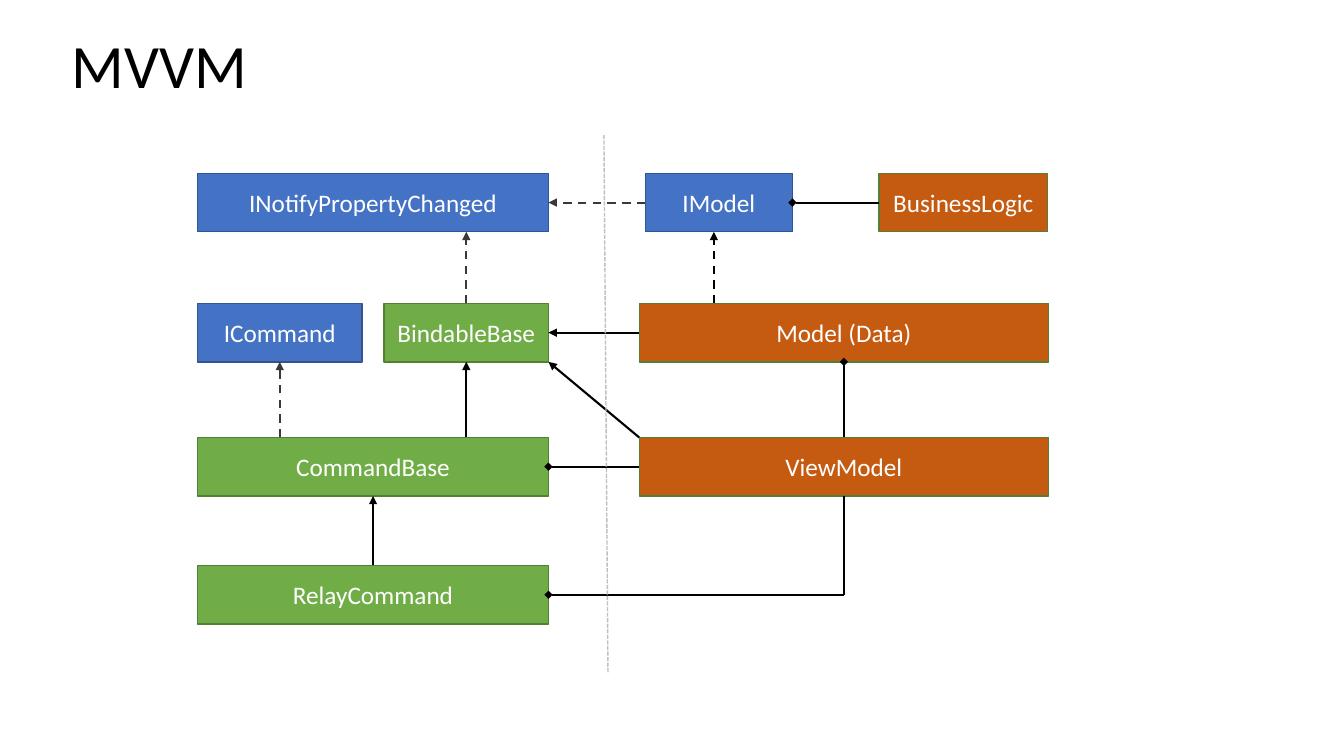
import dataclasses

import lxml.etree
import pptx
import pptx.dml.color
import pptx.enum.dml
import pptx.enum.shapes
import pptx.enum.text
import pptx.oxml.ns
import pptx.util

DASH = pptx.enum.dml.MSO_LINE_DASH_STYLE.DASH
FINE_DASH = pptx.enum.dml.MSO_LINE_DASH_STYLE.SQUARE_DOT


@dataclasses.dataclass(frozen=True)
class Theme:
    font: str = "Calibri"
    title_size: int = 44
    label_size: int = 18
    outline: float = 1
    link: float = 1.5
    ink: str = "000000"
    soft_ink: str = "3B3838"
    divider: str = "BFBFBF"
    label: str = "FFFFFF"
    # fill and outline of each role
    interface: tuple = ("4472C4", "325491")
    base: tuple = ("70AD47", "538035")
    application: tuple = ("C55A11", "538035")


THEME = Theme()
SLIDE_SIZE = (13.33, 7.5)
ROWS = (1.72, 3.01, 4.34, 5.61)
ROW_HEIGHT = 0.58
COLUMNS = {  # left edge and width
    "library": (1.96, 3.48),
    "library left": (1.96, 1.63),
    "library right": (3.81, 1.63),
    "application": (6.34, 4.06),
    "application left": (6.4, 1.46),
    "application right": (8.72, 1.67),
}
CLASSES = (  # name, column, row, role
    ("INotifyPropertyChanged", "library", 0, THEME.interface),
    ("BindableBase", "library right", 1, THEME.base),
    ("ICommand", "library left", 1, THEME.interface),
    ("CommandBase", "library", 2, THEME.base),
    ("RelayCommand", "library", 3, THEME.base),
    ("Model (Data)", "application", 1, THEME.application),
    ("IModel", "application left", 0, THEME.interface),
    ("BusinessLogic", "application right", 0, THEME.application),
    ("ViewModel", "application", 2, THEME.application),
)
PLACES = {name: (column, row) for name, column, row, _ in CLASSES}


def inches(*lengths):
    return [pptx.util.Inches(length) for length in lengths]


def rgb(colour):
    return pptx.dml.color.RGBColor.from_string(colour)


def point(name, across, down):
    """Point on a class box, given as shares of its width and height."""
    column, row = PLACES[name]
    left, width = COLUMNS[column]
    return left + across * width, ROWS[row] + down * ROW_HEIGHT


def set_font(paragraph, size, colour):
    paragraph.font.name = THEME.font
    paragraph.font.size = pptx.util.Pt(size)
    paragraph.font.color.rgb = rgb(colour)


def add_title(slide, text):
    title = slide.shapes.add_textbox(*inches(0.61, 0.2, 11.5, 0.97))
    frame = title.text_frame
    frame.word_wrap = True
    frame.vertical_anchor = pptx.enum.text.MSO_ANCHOR.MIDDLE
    heading = frame.paragraphs[0]
    heading.text = text
    heading.line_spacing = 0.9
    set_font(heading, THEME.title_size, THEME.ink)


def add_class(diagram, name, column, row, role):
    left, width = COLUMNS[column]
    box = diagram.shapes.add_shape(
        pptx.enum.shapes.MSO_SHAPE.RECTANGLE,
        *inches(left, ROWS[row], width, ROW_HEIGHT))
    box.shadow.inherit = False
    fill, outline = role
    box.fill.solid()
    box.fill.fore_color.rgb = rgb(fill)
    box.line.color.rgb = rgb(outline)
    box.line.width = pptx.util.Pt(THEME.outline)
    box.text_frame.vertical_anchor = pptx.enum.text.MSO_ANCHOR.MIDDLE
    label = box.text_frame.paragraphs[0]
    label.text = name
    label.alignment = pptx.enum.text.PP_ALIGN.CENTER
    set_font(label, THEME.label_size, THEME.label)


def add_link(diagram, start, end, head=None, colour=THEME.ink, dash=None,
             width=THEME.link):
    link = diagram.shapes.add_connector(
        pptx.enum.shapes.MSO_CONNECTOR.STRAIGHT, *inches(*start, *end))
    link.line.color.rgb = rgb(colour)
    link.line.width = pptx.util.Pt(width)
    if dash is not None:
        link.line.dash_style = dash
    properties = link._element.spPr
    qualified = pptx.oxml.ns.qn
    if head:
        outline = properties.find(qualified("a:ln"))
        lxml.etree.SubElement(outline, qualified("a:tailEnd"), type=head)
    lxml.etree.SubElement(properties, qualified("a:effectLst"))


def add_rise(diagram, lower, upper, x, head="triangle", **style):
    """Vertical link from the top of one class to the bottom of another."""
    add_link(diagram, (x, point(lower, 0, 0)[1]), (x, point(upper, 0, 1)[1]),
             head, **style)


def add_run(diagram, right, left, head="triangle", **style):
    """Horizontal link between two classes of the same row."""
    add_link(diagram, point(right, 0, 0.5), point(left, 1, 0.5), head, **style)


def add_links(diagram):
    bindable_x = point("BindableBase", 0.5, 0)[0]
    command_x = point("ICommand", 0.5, 0)[0]
    relay_x = point("RelayCommand", 0.5, 0)[0]
    view_x = point("ViewModel", 0.5, 0)[0]
    implements = {"colour": THEME.soft_ink, "dash": DASH}

    add_rise(diagram, "BindableBase", "INotifyPropertyChanged", bindable_x,
             **implements)
    add_rise(diagram, "CommandBase", "ICommand", command_x, **implements)
    add_run(diagram, "IModel", "INotifyPropertyChanged", **implements)
    add_rise(diagram, "Model (Data)", "IModel", 7.08, dash=DASH)

    add_rise(diagram, "RelayCommand", "CommandBase", relay_x)
    add_rise(diagram, "CommandBase", "BindableBase", bindable_x)
    add_run(diagram, "Model (Data)", "BindableBase")
    add_link(diagram, point("ViewModel", 0, 0), point("BindableBase", 1, 1),
             "triangle")

    add_run(diagram, "ViewModel", "CommandBase", "diamond")
    add_run(diagram, "BusinessLogic", "IModel", "diamond")
    add_rise(diagram, "ViewModel", "Model (Data)", view_x, "diamond")
    relay_end = point("RelayCommand", 1, 0.5)
    corner = (view_x, relay_end[1])
    add_link(diagram, corner, relay_end, "diamond")
    add_link(diagram, corner, point("ViewModel", 0.5, 1))


def main():
    presentation = pptx.Presentation()
    presentation.slide_width, presentation.slide_height = inches(*SLIDE_SIZE)
    slide = presentation.slides.add_slide(presentation.slide_layouts[6])
    add_title(slide, "MVVM")
    diagram = slide.shapes.add_group_shape()
    for name, column, row, role in CLASSES:
        add_class(diagram, name, column, row, role)
    add_links(diagram)
    add_link(diagram, (6.03, 6.67), (5.99, 1.34), colour=THEME.divider,
             dash=FINE_DASH, width=THEME.outline)
    presentation.save("out.pptx")


if __name__ == "__main__":
    main()
